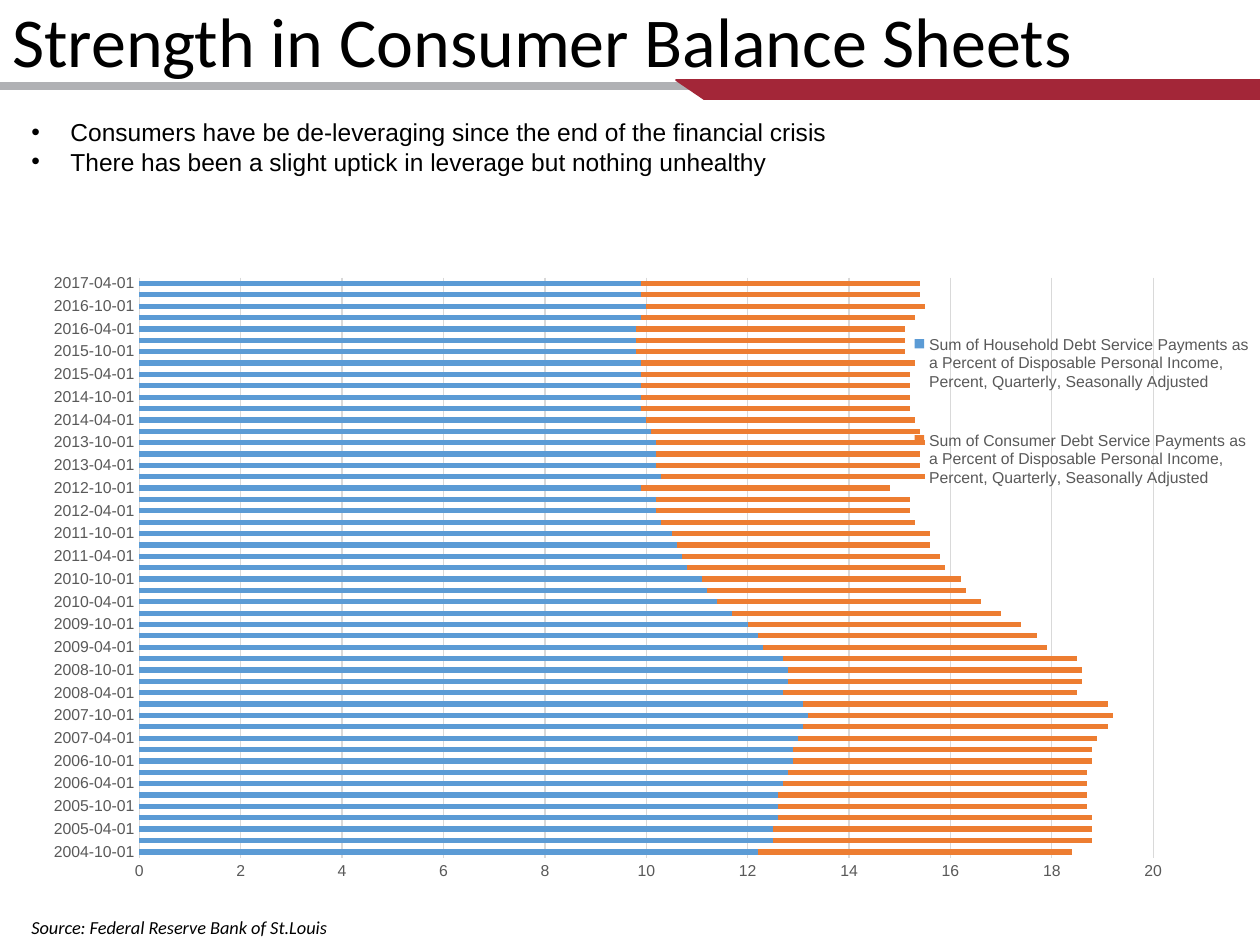
from lxml.etree import SubElement
from pptx import Presentation
from pptx.chart.data import CategoryChartData
from pptx.dml.color import RGBColor
from pptx.enum.chart import XL_CHART_TYPE as Chart, XL_LEGEND_POSITION as Legend, XL_TICK_MARK as Tick
from pptx.enum.shapes import MSO_SHAPE as Preset
from pptx.oxml import parse_xml
from pptx.oxml.ns import nsdecls, qn
from pptx.util import Emu, Pt

PX = 914400 / 126
GREY, RED, MUTED, RULE = "B0B1B4", "A32638", "595959", "D9D9D9"
SERIES_NAME = ("Sum of {} Debt Service Payments as a Percent of Disposable "
               "Personal Income, Percent, Quarterly, Seasonally Adjusted")
HOUSEHOLD = [
    12.2, 12.5, 12.5, 12.6, 12.6, 12.6, 12.7, 12.8, 12.9, 12.9, 13, 13.1, 13.2,
    13.1, 12.7, 12.8, 12.8, 12.7, 12.3, 12.2, 12, 11.7, 11.4, 11.2, 11.1, 10.8,
    10.7, 10.6, 10.5, 10.3, 10.2, 10.2, 9.9, 10.3, 10.2, 10.2, 10.2, 10.1, 10,
    9.9, 9.9, 9.9, 9.9, 9.9, 9.8, 9.8, 9.8, 9.9, 10, 9.9, 9.9]
CONSUMER = [
    6.2, 6.3, 6.3, 6.2, 6.1, 6.1, 6, 5.9, 5.9, 5.9, 5.9, 6, 6, 6, 5.8, 5.8, 5.8,
    5.8, 5.6, 5.5, 5.4, 5.3, 5.2, 5.1, 5.1, 5.1, 5.1, 5, 5.1, 5, 5, 5, 4.9, 5.2,
    5.2, 5.2, 5.3, 5.3, 5.3, 5.3, 5.3, 5.3, 5.3, 5.4, 5.3, 5.3, 5.3, 5.4, 5.5,
    5.5, 5.5]
FIRST_QUARTER = 2004 * 4 + 3
QUARTERS = [f"{q // 4}-{q % 4 * 3 + 1:02}-01"
            for q in range(FIRST_QUARTER, FIRST_QUARTER + len(HOUSEHOLD))]


def px(*lengths):
    return [Emu(round(length * PX)) for length in lengths]


def rgb(color):
    return RGBColor.from_string(color)


def set_font(font, color="000000", **style):
    for name, value in style.items():
        setattr(font, name, value)
    font.color.rgb = rgb(color)


def set_line(line, color, width):
    line.color.rgb = rgb(color)
    line.width = Pt(width)


def manual_layout(x, y, w, h, inner=False):
    target = '<c:layoutTarget val="inner"/>' if inner else ""
    sizes = "".join(f'<c:{tag} val="{value}"/>' for tag, value in
                    [("xMode", "edge"), ("yMode", "edge"), ("x", x), ("y", y), ("w", w), ("h", h)])
    return parse_xml(f'<c:layout {nsdecls("c")}><c:manualLayout>{target}{sizes}'
                     '</c:manualLayout></c:layout>')


class Deck:
    def __init__(self, width, height):
        self.deck = Presentation()
        self.deck.slide_width, self.deck.slide_height = px(width, height)
        self.slide = self.deck.slides.add_slide(self.deck.slide_layouts[6])

    def bar(self, preset, box, color, rotation=0):
        bar = self.slide.shapes.add_shape(preset, *px(*box))
        bar.shadow.inherit = False
        bar.rotation = rotation
        bar.fill.solid()
        bar.fill.fore_color.rgb = rgb(color)
        set_line(bar.line, color, 1)

    def text(self, box, lines, bullet_indent=0, **style):
        frame = self.slide.shapes.add_textbox(*px(*box)).text_frame
        frame.word_wrap = True
        for number, line in enumerate(lines):
            paragraph = frame.add_paragraph() if number else frame.paragraphs[0]
            if bullet_indent:
                indent, = px(bullet_indent)
                props = paragraph._p.get_or_add_pPr()
                props.set("marL", str(indent))
                props.set("indent", str(-indent))
                SubElement(props, qn("a:buFont")).set("typeface", "Arial")
                SubElement(props, qn("a:buChar")).set("char", "•")
            run = paragraph.add_run()
            run.text = line
            set_font(run.font, **style)

    def stacked_bars(self, box, categories, series, plot_area, legend_area):
        data = CategoryChartData()
        data.categories = categories
        for name, values, _ in series:
            data.add_series(name, values)
        chart = self.slide.shapes.add_chart(Chart.BAR_STACKED, *px(*box), data).chart
        chart.has_title = False
        set_font(chart.font, name="Arial", size=Pt(10))
        small = dict(name="Arial", size=Pt(9), color=MUTED)

        plot = chart.plots[0]
        plot.gap_width, plot.overlap, plot.vary_by_categories = 116, 100, False
        for bars, (_, _, color) in zip(plot.series, series):
            bars.format.fill.solid()
            bars.format.fill.fore_color.rgb = rgb(color)

        dates, percents = chart.category_axis, chart.value_axis
        for axis in (dates, percents):
            axis.major_tick_mark = axis.minor_tick_mark = Tick.NONE
            set_font(axis.tick_labels.font, **small)
        set_line(dates.format.line, RULE, 0.75)
        percents.format.line.fill.background()
        percents.minimum_scale, percents.maximum_scale, percents.major_unit = 0, 20, 2
        percents.has_major_gridlines = True
        set_line(percents.major_gridlines.format.line, RULE, 0.75)

        chart.has_legend = True
        legend = chart.legend
        legend.position, legend.include_in_layout = Legend.RIGHT, False
        set_font(legend.font, **small)
        legend._element.find(qn("c:legendPos")).addnext(manual_layout(*legend_area))
        area = chart._chartSpace.chart.plotArea
        for layout in area.findall(qn("c:layout")):
            area.remove(layout)
        area.insert(0, manual_layout(*plot_area, inner=True))

    def save(self):
        self.deck.save("out.pptx")


def main():
    deck = Deck(1260, 945)
    deck.bar(Preset.RECTANGLE, (0, 83, 1260, 6), GREY)
    deck.bar(Preset.RIGHT_TRIANGLE, (676, 80, 28, 19), RED, rotation=180)
    deck.bar(Preset.RECTANGLE, (704, 80, 556, 19), RED)
    deck.text((0, -9, 1249, 97), ["Strength in Consumer Balance Sheets"],
              name="Calibri", size=Pt(40))
    deck.text((19, 910, 505, 36), ["Source: Federal Reserve Bank of St.Louis"],
              name="Calibri", size=Pt(10.5), italic=True)
    deck.text((19, 111, 1241, 146),
              ["Consumers have be de-leveraging since the end of the financial crisis",
               "There has been a slight uptick in leverage but nothing unhealthy"],
              bullet_indent=39, name="Arial", size=Pt(14))
    deck.stacked_bars((19, 257, 1241, 631), QUARTERS,
                      [(SERIES_NAME.format("Household"), HOUSEHOLD, "5B9BD5"),
                       (SERIES_NAME.format("Consumer"), CONSUMER, "ED7D31")],
                      plot_area=(0.097, 0.033, 0.817, 0.919),
                      legend_area=(0.73, 0.06, 0.27, 0.37))
    deck.save()


if __name__ == "__main__":
    main()
